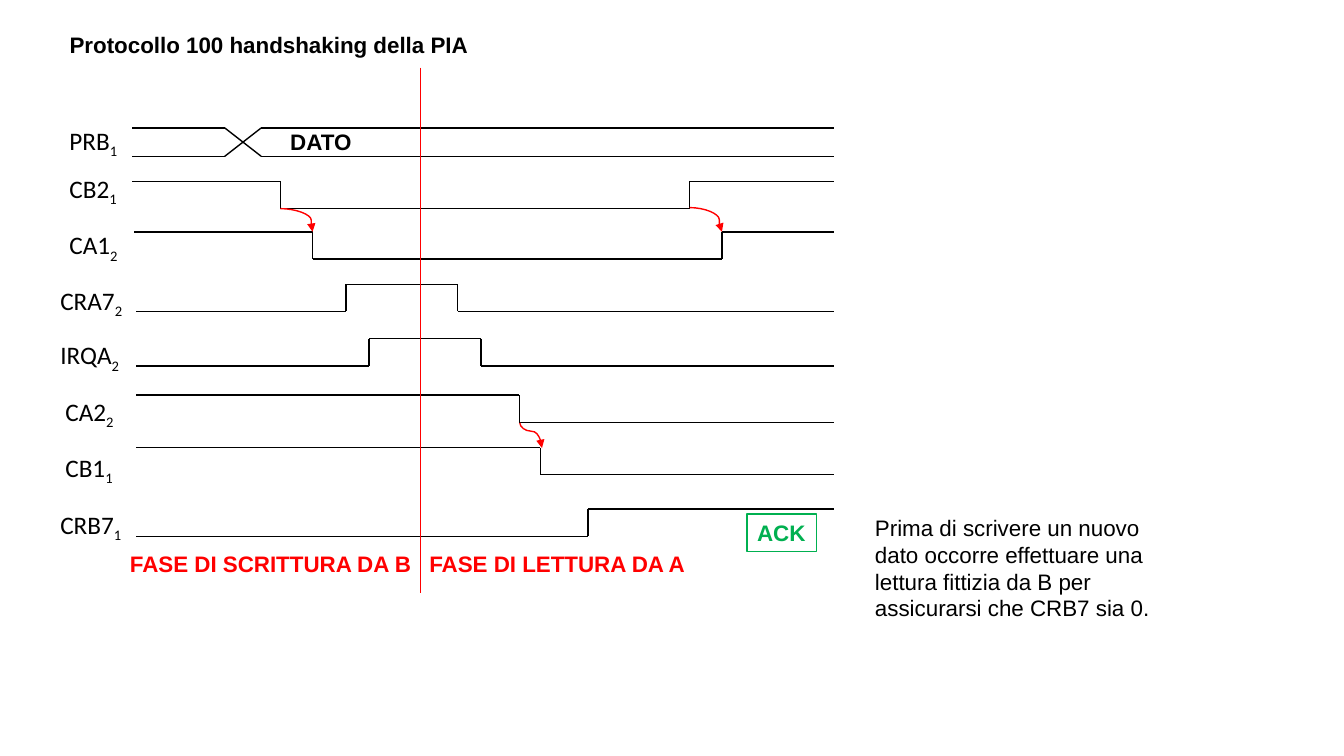
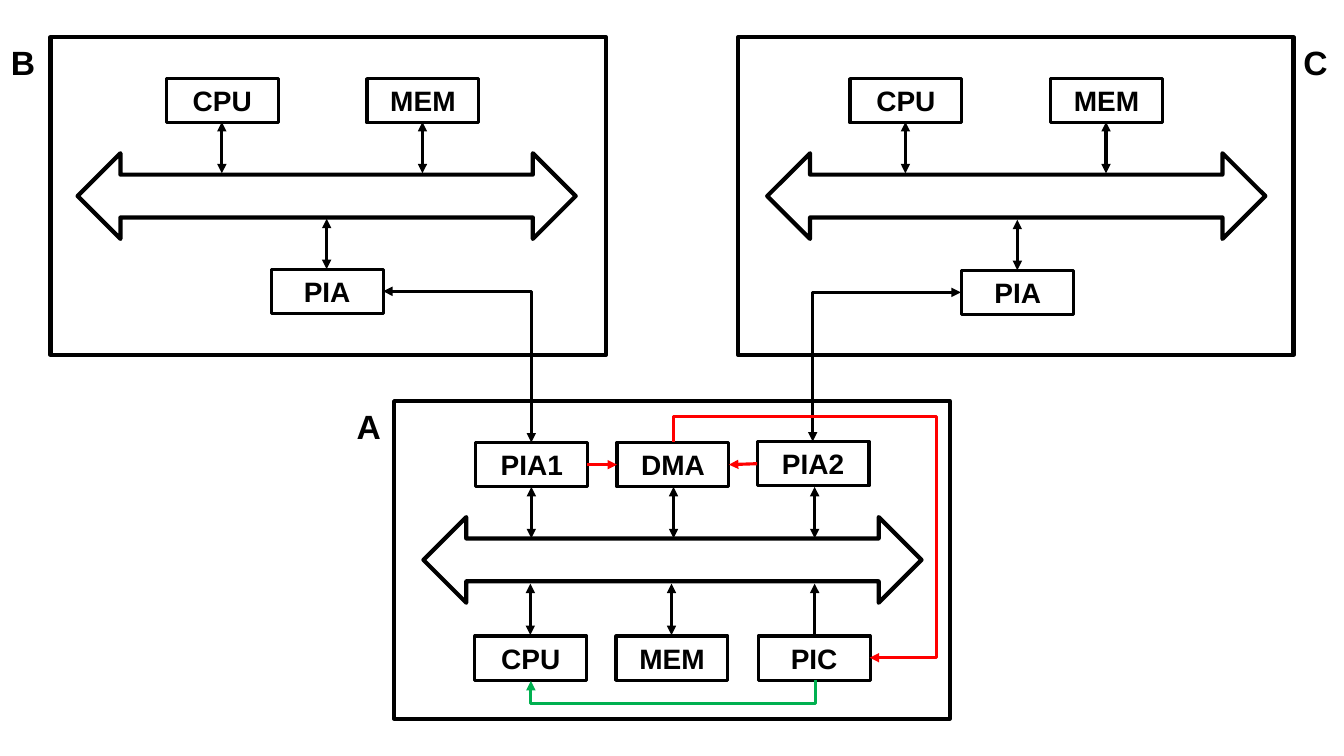
from dataclasses import dataclass
from itertools import pairwise

import lxml.etree
import pptx
import pptx.dml.color
import pptx.enum.shapes
import pptx.enum.text
import pptx.oxml.ns
import pptx.util

Inches = pptx.util.Inches
Pt = pptx.util.Pt
qn = pptx.oxml.ns.qn
SHAPE = pptx.enum.shapes.MSO_SHAPE
CONNECTOR = pptx.enum.shapes.MSO_CONNECTOR
ANCHOR = pptx.enum.text.MSO_ANCHOR
ALIGN = pptx.enum.text.PP_ALIGN
TOP, LEFT, BOTTOM, RIGHT = range(4)


@dataclass(frozen=True)
class Theme:
    black: str = "000000"
    red: str = "FF0000"
    green: str = "00B050"
    font: str = "Arial"
    label_font: str = "Calibri"
    body: int = 16
    label: int = 18
    unit: int = 20
    name: int = 24
    thin: float = 1
    medium: float = 2.25
    thick: float = 3


THEME = Theme()


def rgb(color):
    return pptx.dml.color.RGBColor.from_string(color)


def write(tf, text, *, size=THEME.body, color=THEME.black, font=THEME.font,
          bold=False, sub=None, wrap=True, align=ALIGN.LEFT, anchor=ANCHOR.TOP):
    tf.word_wrap = wrap
    tf.auto_size = pptx.enum.text.MSO_AUTO_SIZE.NONE
    tf.vertical_anchor = anchor
    p = tf.paragraphs[0]
    p.alignment = align
    for part in filter(None, (text, sub)):
        r = p.add_run()
        r.text = part
        r.font.name = font
        r.font.size = Pt(size)
        r.font.bold = bold
        r.font.color.rgb = rgb(color)
        if part is sub:
            r.font._element.set("baseline", "-25000")


class Deck:
    """Holds the presentation, its theme and the current slide."""

    def __init__(self, theme):
        self.theme = theme
        self.prs = pptx.Presentation()
        self.prs.slide_width = Inches(13.33)
        self.prs.slide_height = Inches(7.5)
        self.s = None

    def add_slide(self, title=None):
        self.s = self.prs.slides.add_slide(self.prs.slide_layouts[5 if title else 6])
        if title:
            sp = self.s.shapes.title
            sp.left, sp.top, sp.width, sp.height = map(Inches, (0.59, 0.26, 4.2, 0.37))
            write(sp.text_frame, title, bold=True, wrap=False)

    def text(self, text, left, top, width, height, **style):
        sp = self.s.shapes.add_textbox(*map(Inches, (left, top, width, height)))
        write(sp.text_frame, text, **style)

    def outline(self, left, top, width, height, shape=SHAPE.RECTANGLE,
                color=THEME.black, weight=THEME.thick):
        sp = self.s.shapes.add_shape(shape, *map(Inches, (left, top, width, height)))
        sp.shadow.inherit = False
        sp.fill.background()
        sp.line.color.rgb = rgb(color)
        sp.line.width = Pt(weight)
        return sp

    def unit(self, name, left, top):
        sp = self.outline(left, top, 1.11, 0.44, weight=self.theme.medium)
        write(sp.text_frame, name, size=self.theme.unit, bold=True,
              align=ALIGN.CENTER, anchor=ANCHOR.MIDDLE)
        return sp

    def line(self, start, end, color=THEME.black, weight=THEME.thin,
             head=False, tail=False, kind=CONNECTOR.STRAIGHT):
        c = self.s.shapes.add_connector(kind, *map(Inches, (*start, *end)))
        c.line.color.rgb = rgb(color)
        c.line.width = Pt(weight)
        ln = c.element.spPr.find(qn("a:ln"))
        for tag, wanted in (("a:headEnd", head), ("a:tailEnd", tail)):
            if wanted:
                lxml.etree.SubElement(ln, qn(tag), type="triangle")
        lxml.etree.SubElement(c.element.spPr, qn("a:effectLst"))
        return c

    def arrow(self, start, end, color=THEME.black, head=True):
        self.line(start, end, color, self.theme.medium, head, True)

    def routed(self, preset, left, top, width, height, rot=0, flip=None, adj=(),
               ends=(), kind=CONNECTOR.ELBOW, **style):
        c = self.line((left, top), (left + width, top + height),
                      kind=kind, tail=True, **style)
        if ends:
            c.begin_connect(*ends[0])
            c.end_connect(*ends[1])
        c.left, c.top, c.width, c.height = map(Inches, (left, top, width, height))
        xfrm = c.element.spPr.find(qn("a:xfrm"))
        for name in ("flipH", "flipV"):
            xfrm.attrib.pop(name, None)
        if rot:
            xfrm.set("rot", str(rot * 60000))
        if flip:
            xfrm.set(flip, "1")
        geom = c.element.spPr.find(qn("a:prstGeom"))
        geom.set("prst", preset)
        for i, value in enumerate(adj, 1):
            lxml.etree.SubElement(geom.find(qn("a:avLst")), qn("a:gd"),
                                  name=f"adj{i}", fmla=f"val {round(value * 100000)}")

    def trace(self, points):
        for start, end in pairwise(points):
            self.line(start, end)

    def wave(self, top, high, start, edges, end=8.27, swing=0.27):
        points = []
        for x0, x1 in pairwise((start, *edges, end)):
            y = top if high else top + swing
            points += [(x0, y), (x1, y)]
            high = not high
        self.trace(points)

    def subsystem(self, name, left, top, name_left, bus_left):
        self.outline(left, top, 5.51, 3.15)
        self.text(name, name_left, top, 0.5, 0.5, size=self.theme.name, bold=True)
        self.outline(bus_left, top + 1.15, 4.94, 0.85, SHAPE.LEFT_RIGHT_ARROW)


def timing_slide(deck):
    t = deck.theme
    deck.add_slide("Protocollo 100 handshaking della PIA")
    labels = (("PRB", "1", 0.59, 1.19), ("CB2", "1", 0.59, 1.67),
              ("CA1", "2", 0.59, 2.23), ("CRA7", "2", 0.5, 2.78),
              ("IRQA", "2", 0.5, 3.32), ("CA2", "2", 0.55, 3.88),
              ("CB1", "1", 0.55, 4.44), ("CRB7", "1", 0.5, 5))
    for name, sub, left, top in labels:
        deck.text(name, left, top, 0.85, 0.4, sub=sub, size=t.label, font=t.label_font)

    bus_high, bus_low = 1.27, 1.55
    for y0, y1 in ((bus_high, bus_low), (bus_low, bus_high)):
        deck.trace([(1.31, y0), (2.23, y0), (2.59, y1), (8.27, y1)])
    waves = ((1.8, True, 1.31, (2.78, 6.84)), (2.3, True, 1.33, (3.1, 7.16)),
             (2.82, False, 1.35, (3.43, 4.54)), (3.36, False, 1.35, (3.66, 4.77)),
             (3.92, True, 1.35, (5.15,)), (4.44, True, 1.35, (5.36,)),
             (5.05, False, 1.35, (5.83,)))
    for wave in waves:
        deck.wave(*wave)

    deck.text("DATO", 2.78, 1.22, 0.82, 0.37, bold=True, wrap=False)
    deck.line((4.17, 0.67), (4.17, 5.88), t.red)
    for phase, left, width in (("FASE DI SCRITTURA DA B", 1.19, 3.02),
                               ("FASE DI LETTURA DA A", 4.16, 2.76)):
        deck.text(phase, left, 5.41, width, 0.37, color=t.red, bold=True, wrap=False)
    ack = deck.outline(7.41, 5.1, 0.69, 0.37, color=t.green, weight=t.thin)
    write(ack.text_frame, "ACK", color=t.green, bold=True, wrap=False)

    causes = ((2.78, 2.07, 0.32, 0.23, 0, None, (0.96,)),
              (6.84, 2.06, 0.32, 0.24, 0, None, (0.92,)),
              (5.14, 4.21, 0.25, 0.22, 270, "flipH", (0.33,)))
    for cause in causes:
        deck.routed("curvedConnector3", *cause, kind=CONNECTOR.CURVE, color=t.red)
    deck.text("Prima di scrivere un nuovo dato occorre effettuare una lettura "
              "fittizia da B per assicurarsi che CRB7 sia 0.", 8.58, 5.05, 3, 1.18)


def architecture_slide(deck):
    t = deck.theme
    deck.add_slide()
    deck.subsystem("A", 3.91, 3.98, 3.44, 4.2)
    deck.subsystem("B", 0.5, 0.37, 0.01, 0.77)
    deck.subsystem("C", 7.32, 0.37, 12.83, 7.61)

    pias = []
    for cpu, mem, pia, pia_top in ((1.65, 3.64, 2.69, 2.67), (8.43, 10.42, 9.54, 2.68)):
        for name, left in (("CPU", cpu), ("MEM", mem)):
            deck.unit(name, left, 0.78)
            deck.arrow((left + 0.55, 1.21), (left + 0.55, 1.72))
        pias.append(deck.unit("PIA", pia, pia_top))
        deck.arrow((pia + 0.55, pia_top - 0.5), (pia + 0.55, pia_top))

    units = {}
    for name, left, top, x in (("PIA1", 4.72, 4.39, 5.27), ("DMA", 6.12, 4.39, 6.68),
                               ("PIA2", 7.51, 4.38, 8.08)):
        units[name] = deck.unit(name, left, top)
        deck.arrow((x, 4.83), (x, 5.34))
    for name, left, x in (("CPU", 4.71, 5.26), ("MEM", 6.11, 6.66), ("PIC", 7.52, 8.08)):
        units[name] = deck.unit(name, left, 6.31)
        deck.arrow((x, 6.3), (x, 5.79), head=name != "PIC")

    deck.arrow((5.82, 4.61), (6.12, 4.61), t.red, head=False)
    deck.arrow((7.51, 4.6), (7.23, 4.61), t.red, head=False)
    deck.routed("bentConnector2", 3.8, 2.89, 1.47, 1.5, head=True, weight=t.medium,
                ends=((pias[0], RIGHT), (units["PIA1"], TOP)))
    deck.routed("bentConnector2", 8.06, 2.9, 1.47, 1.48, 180, "flipV", head=True,
                weight=t.medium, ends=((pias[1], LEFT), (units["PIA2"], TOP)))
    deck.routed("bentConnector3", 6.67, 5.34, 0.01, 2.82, 90, adj=(24,),
                color=t.green, weight=t.medium,
                ends=((units["PIC"], BOTTOM), (units["CPU"], BOTTOM)))
    deck.routed("bentConnector4", 6.58, 4.48, 2.14, 1.95, 270, "flipH",
                adj=(-0.12, 1.34), color=t.red, weight=t.medium,
                ends=((units["DMA"], TOP), (units["PIC"], RIGHT)))


def main():
    deck = Deck(THEME)
    timing_slide(deck)
    architecture_slide(deck)
    deck.prs.save("out.pptx")


if __name__ == "__main__":
    main()
